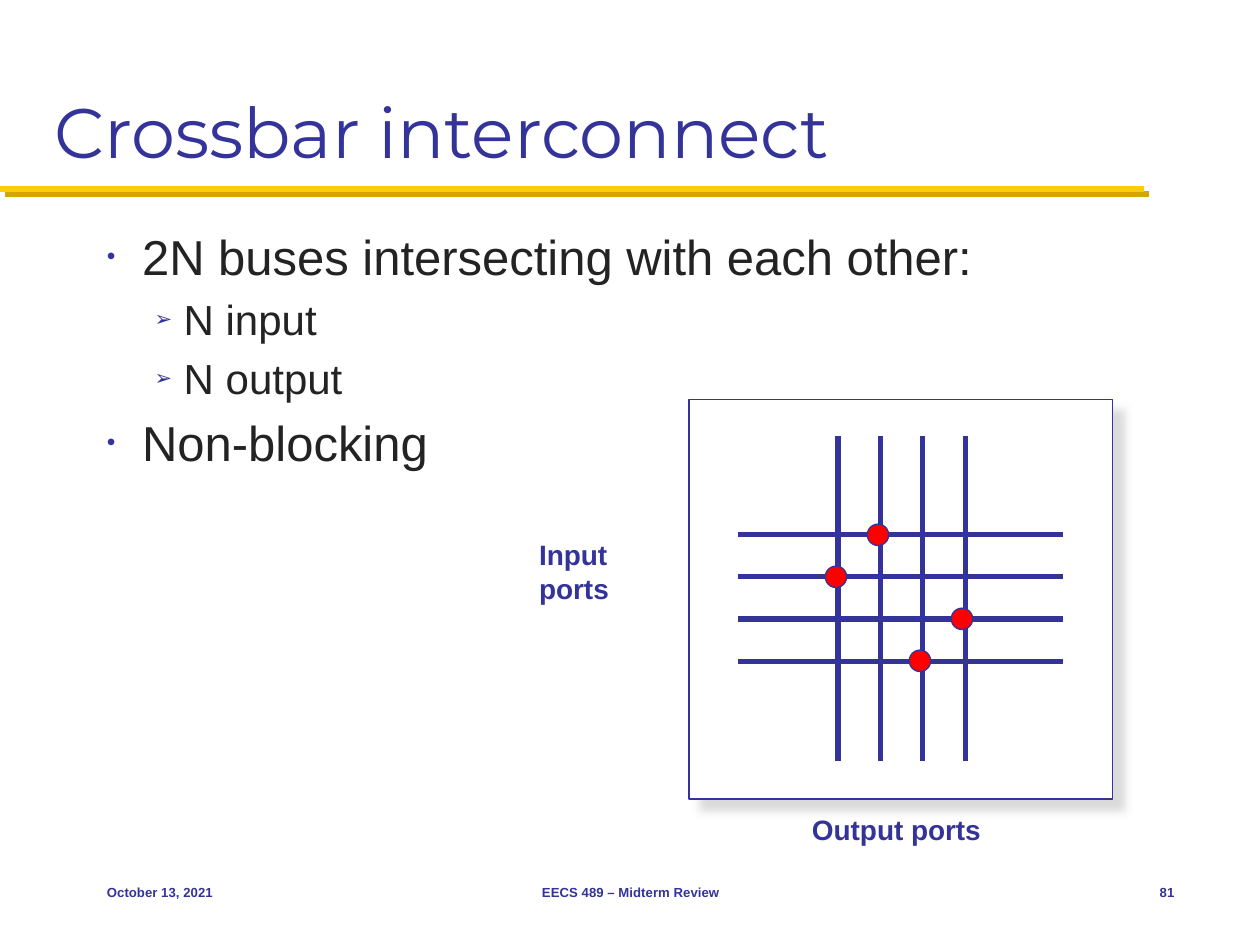
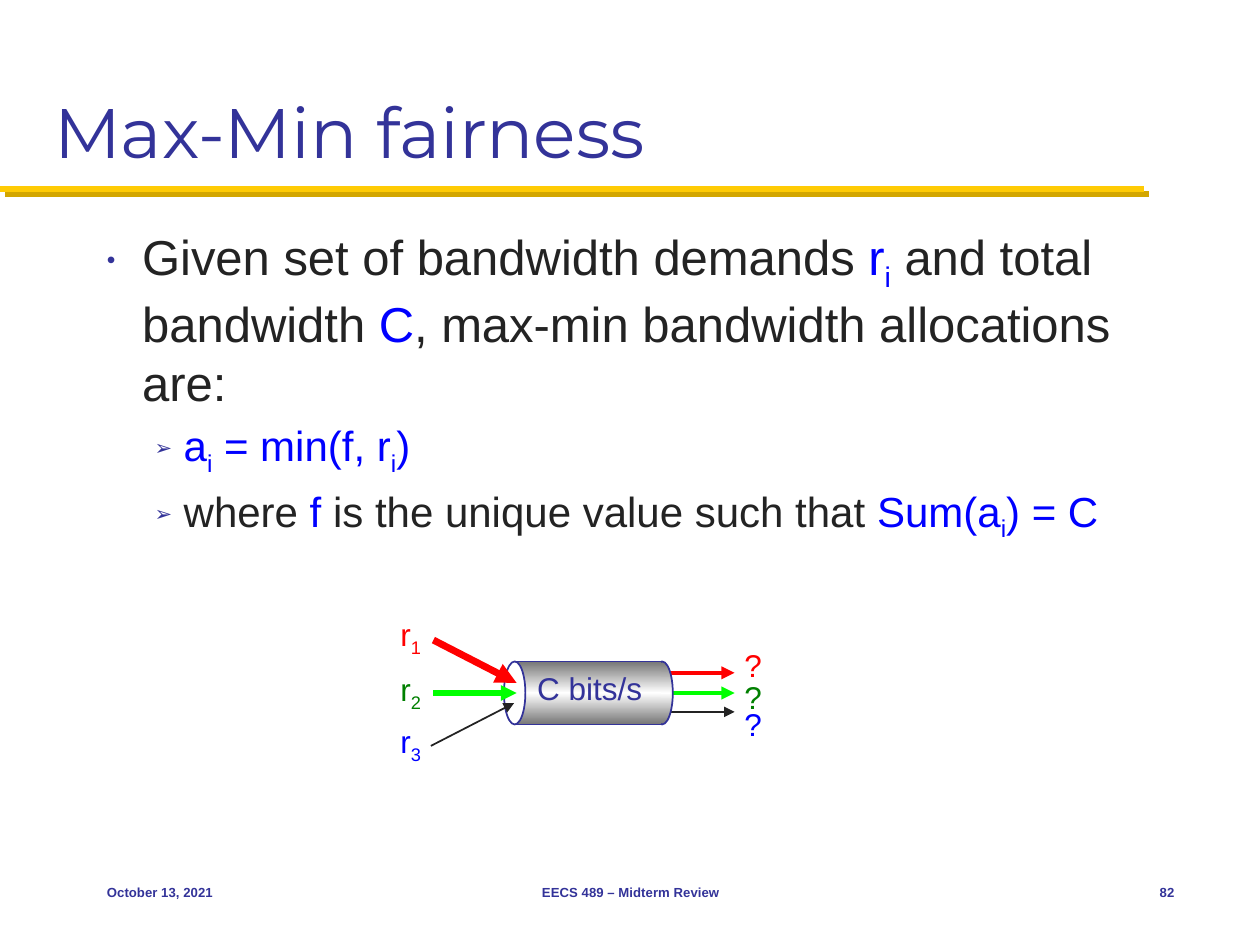
from copy import deepcopy
from lxml.etree import SubElement
from pptx import Presentation
from pptx.dml.color import RGBColor
from pptx.enum.shapes import MSO_CONNECTOR, MSO_SHAPE
from pptx.enum.text import MSO_ANCHOR, MSO_AUTO_SIZE, PP_ALIGN
from pptx.oxml.ns import qn
from pptx.util import Inches, Pt

HUES = {
    "navy": "333399", "ink": "232323", "blue": "0000FF", "red": "FF0000",
    "green": "008000", "lime": "00FF00", "white": "FFFFFF", "gray": "767676",
    "gold": "FFCB05", "bronze": "D3A600", "shade": "CECECE",
}
BAND = {"hue": "bronze", "alpha": 100, "blur": 0, "dist": 4.2}
CARD = {"hue": "shade", "alpha": 75, "blur": 5, "dist": 8.5}
FRAME = {"word_wrap": True, "auto_size": MSO_AUTO_SIZE.NONE,
         "vertical_anchor": MSO_ANCHOR.TOP}
TITLE = FRAME | {"vertical_anchor": MSO_ANCHOR.BOTTOM}
FOOT = FRAME | {"vertical_anchor": MSO_ANCHOR.MIDDLE}
LABEL = FRAME | {"word_wrap": False, "auto_size": MSO_AUTO_SIZE.SHAPE_TO_FIT_TEXT}
LEVELS = [
    {"mark": "•", "left": 0.28, "hang": 0.28, "size": 28},
    {"mark": "➢", "left": 0.61, "hang": 0.23, "size": 24},
]


def tint(name):
    return RGBColor.from_string(HUES[name])


def apply(item, values):
    for key, value in values.items():
        setattr(item, key, value)


def inches(box):
    return [Inches(n) for n in box]


def add(parent, tag, **values):
    node = SubElement(parent, qn("a:" + tag))
    for key, value in values.items():
        node.set(key, str(value))
    return node


def shadow(item, look=None):
    effects = add(item._element.spPr, "effectLst")
    if look:
        cast = add(effects, "outerShdw", blurRad=Pt(look["blur"]),
                   dist=Pt(look["dist"]), dir=45 * 60000, algn="tl", rotWithShape=0)
        color = add(cast, "srgbClr", val=HUES[look["hue"]])
        add(color, "alpha", val=look["alpha"] * 1000)


def line(slide, start, end, hue, width, arrow=False, look=None):
    item = slide.shapes.add_connector(MSO_CONNECTOR.STRAIGHT, *inches(start + end))
    item.line.color.rgb = tint(hue)
    item.line.width = Pt(width)
    if arrow:
        add(item.line._get_or_add_ln(), "tailEnd", type="triangle")
    shadow(item, look)


def blend(fill):
    fill.gradient()
    fill.gradient_angle = 90
    first = fill.gradient_stops[0]._gs
    first.addnext(deepcopy(first))
    for stop, place, hue in zip(fill.gradient_stops, (0, 0.5, 1), ("gray", "white", "gray")):
        stop.position = place
        stop.color.rgb = tint(hue)


def shape(slide, kind, box, hue=None, width=0, look=None):
    item = slide.shapes.add_shape(kind, *inches(box))
    if hue:
        item.fill.solid()
        item.fill.fore_color.rgb = tint(hue)
    else:
        blend(item.fill)
    if width:
        item.line.color.rgb = tint("navy")
        item.line.width = Pt(width)
    else:
        item.line.fill.background()
    if look:
        shadow(item, look)
    else:
        item.shadow.inherit = False


def write(par, runs, size, face="Arial", bold=False):
    for words, hue in runs:
        if words == "\n":
            par.add_line_break()
            continue
        run = par.add_run()
        run.text = words.removeprefix("_")
        apply(run.font, {"size": Pt(size), "name": face, "bold": bold})
        run.font.color.rgb = tint(hue)
        if words.startswith("_"):
            run._r.get_or_add_rPr().set("baseline", "-25000")


def label(slide, box, runs, size=18, bold=False, align=PP_ALIGN.LEFT, frame=LABEL):
    item = slide.shapes.add_textbox(*inches(box))
    apply(item.text_frame, frame)
    par = item.text_frame.paragraphs[0]
    par.alignment = align
    write(par, runs, size, bold=bold)


def bullet(par, level):
    look = LEVELS[level]
    par.level = level
    props = par._p.get_or_add_pPr()
    props.set("marL", str(Inches(look["left"])))
    props.set("indent", str(-Inches(look["hang"])))
    add(add(props, "spcBef"), "spcPct", val=20000)
    add(add(props, "buClr"), "srgbClr", val=HUES["navy"])
    add(props, "buSzPct", val=50000)
    add(props, "buFont", typeface="Arial")
    add(props, "buChar", char=look["mark"])


def body(slide, items):
    box = slide.shapes.add_textbox(*inches((0.75, 1.75, 8.67, 4.83)))
    frame = box.text_frame
    apply(frame, FRAME)
    for spot, (level, runs) in enumerate(items):
        par = frame.add_paragraph() if spot else frame.paragraphs[0]
        bullet(par, level)
        write(par, runs, LEVELS[level]["size"])


def start(deck, title, number):
    slide = deck.slides.add_slide(deck.slide_layouts[5])
    line(slide, (0, 1.5), (9.08, 1.5), "gold", 3.5, look=BAND)
    head = slide.shapes.title
    apply(head, dict(zip(("left", "top", "width", "height"), inches((0.33, 0.17, 9.33, 1.25)))))
    apply(head.text_frame, TITLE)
    par = head.text_frame.paragraphs[0]
    par.alignment = PP_ALIGN.LEFT
    write(par, [(title, "navy")], 40, "Montserrat")
    for left, width, words, align in (
        (0.75, 2.08, "October 13, 2021", PP_ALIGN.LEFT),
        (3.42, 3.17, "EECS 489 – Midterm Review", PP_ALIGN.CENTER),
        (8.75, 0.67, str(number), PP_ALIGN.RIGHT),
    ):
        label(slide, (left, 6.83, width, 0.5), [(words, "navy")], 7.5, True, align, FOOT)
    return slide


def crossbar(slide):
    shape(slide, MSO_SHAPE.RECTANGLE, (5.47, 3.17, 3.36, 3.17), "white", 1, CARD)
    step = 1.01 / 3
    for spot in range(4):
        across, down = 6.65 + spot * step, 4.24 + spot * step
        line(slide, (across, 3.46), (across, 6.04), "navy", 3)
        line(slide, (5.86, down), (8.44, down), "navy", 3)
    for row, col in enumerate((1, 0, 3, 2)):
        place = (6.55 + col / 3, 4.16 + row / 3, 0.17, 0.17)
        shape(slide, MSO_SHAPE.OVAL, place, "red", 0.75)
    label(slide, (4.18, 4.22, 1.21, 0.65),
          [("Input", "navy"), ("\n", "navy"), ("ports", "navy")], 16, True, frame=FRAME)
    label(slide, (5.59, 6.4, 3.05, 0.44), [("Output ports", "navy")], 16, True,
          PP_ALIGN.CENTER, FRAME)


def pipe(slide):
    flows = (
        ("1", "red", 4.83, 5.08),
        ("2", "green", 5.27, 5.33),
        ("3", "blue", 5.68, 5.55),
    )
    for digit, hue, left, right in flows:
        label(slide, (3.08, left, 0.38, 0.4), [("r", hue), ("_" + digit, hue)])
        label(slide, (5.81, right, 0.34, 0.4), [("?", hue)])
    for down, hue, width in ((5.65, "ink", 1), (5.5, "lime", 2.5), (5.34, "red", 2.5)):
        line(slide, (5.25, down), (5.83, down), hue, width, True)
    shape(slide, MSO_SHAPE.OVAL, (5.17, 5.25, 0.17, 0.5), width=1)
    shape(slide, MSO_SHAPE.RECTANGLE, (4.08, 5.25, 1.17, 0.5))
    for down in (5.25, 5.75):
        line(slide, (4.08, down), (5.25, down), "navy", 1)
    shape(slide, MSO_SHAPE.OVAL, (4, 5.25, 0.17, 0.5), "white", 1)
    line(slide, (3.44, 5.08), (4.1, 5.42), "red", 4, True)
    line(slide, (3.44, 5.5), (4.1, 5.5), "lime", 3, True)
    line(slide, (3.42, 5.92), (4.08, 5.58), "ink", 1, True)
    label(slide, (4.16, 5.26, 1.04, 0.4), [("C bits/s", "navy")], align=PP_ALIGN.CENTER,
          frame=LABEL | {"vertical_anchor": MSO_ANCHOR.MIDDLE})


def main():
    deck = Presentation()
    apply(deck, {"slide_width": Inches(10), "slide_height": Inches(7.5)})

    slide = start(deck, "Crossbar interconnect", 81)
    body(slide, [
        (0, [("2N buses intersecting with each other:", "ink")]),
        (1, [("N input", "ink")]),
        (1, [("N output", "ink")]),
        (0, [("Non-blocking", "ink")]),
    ])
    crossbar(slide)

    slide = start(deck, "Max-Min fairness", 82)
    body(slide, [
        (0, [("Given set of bandwidth demands ", "ink"), ("r", "blue"), ("_i", "blue"),
             (" and total bandwidth ", "ink"), ("C", "blue"),
             (", max-min bandwidth allocations are:", "ink")]),
        (1, [("a", "blue"), ("_i", "blue"), (" = min(f, r", "blue"), ("_i", "blue"),
             (")", "blue")]),
        (1, [("where ", "ink"), ("f", "blue"), (" is the unique value such that ", "ink"),
             ("Sum(a", "blue"), ("_i", "blue"), (") = C", "blue")]),
    ])
    pipe(slide)
    deck.save("out.pptx")


main()
